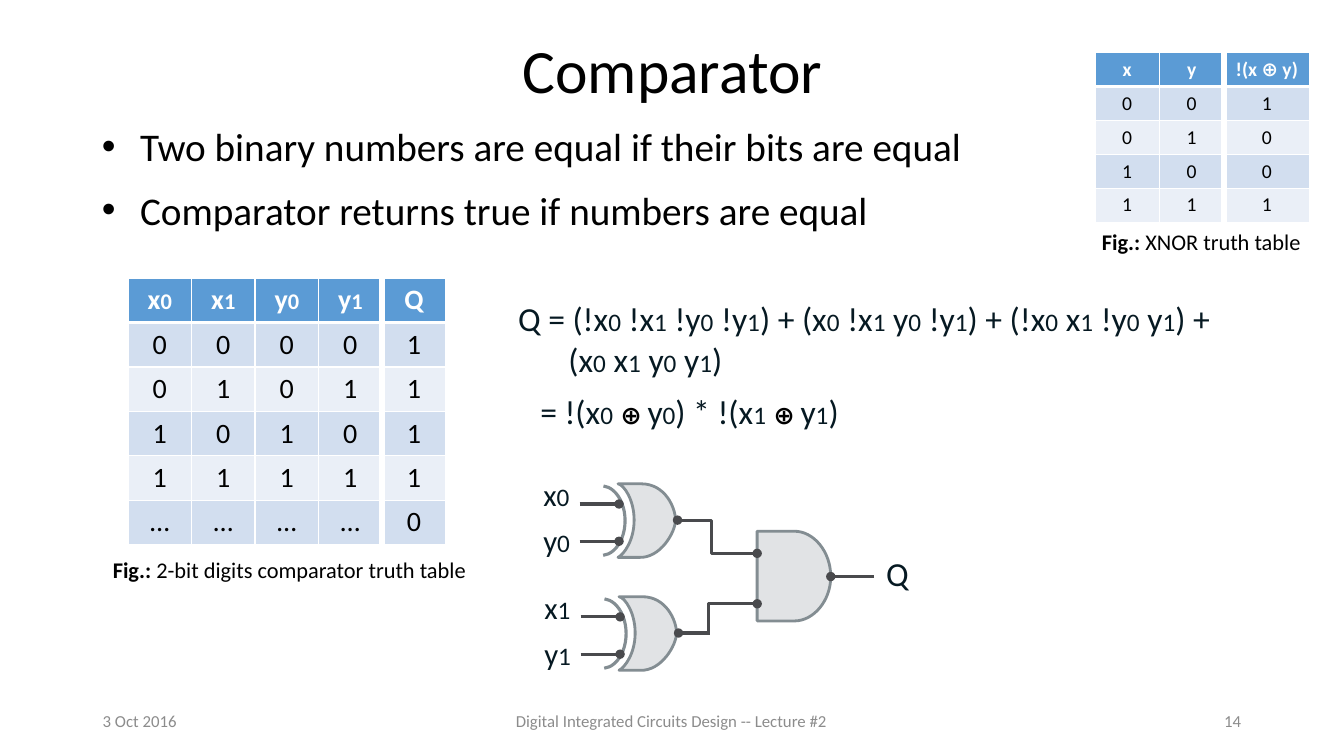
from dataclasses import dataclass
from itertools import groupby

from lxml import etree
from pptx import Presentation
from pptx.dml.color import RGBColor
from pptx.enum.shapes import MSO_CONNECTOR as Conn, MSO_SHAPE as Shape
from pptx.enum.text import MSO_ANCHOR as Anchor, MSO_AUTO_SIZE as Fit, PP_ALIGN as Align
from pptx.oxml.ns import qn
from pptx.util import Pt

PX = 9144


@dataclass(frozen=True)
class Theme:
    font: str = "Calibri"
    text: str = "000000"
    ink: str = "061922"
    muted: str = "8C8C8C"
    white: str = "FFFFFF"
    header: str = "5B9BD5"
    bands: tuple = ("D2DEEF", "EAEFF7")
    gate_fill: str = "E1E3E5"
    gate_line: str = "838D92"
    wire: str = "494A4D"
    title: int = 44
    body: int = 28
    formula: int = 24
    pin: int = 22
    index: int = 18
    caption: int = 16
    footer: int = 12


T = Theme()


def px(*values):
    return [v * PX for v in values]


def rgb(color):
    return RGBColor.from_string(color)


def add_run(p, text, size, color=T.text, bold=False):
    r = p.add_run()
    r.text = text
    r.font.name, r.font.size, r.font.bold = T.font, Pt(size), bold
    r.font.color.rgb = rgb(color)


def add_indexed(p, text, size, small, color=T.ink, bold=False, operator=(T.index, T.text)):
    def kind(pair):
        return "operator" if "⊕" in pair else "index" if pair[1].isdigit() else "name"

    for name, pairs in groupby(zip(" " + text, text), key=kind):
        part = "".join(char for _, char in pairs)
        if name == "operator":
            add_run(p, part, *operator, True)
        else:
            add_run(p, part, small if name == "index" else size, color, bold)


def indent(p, left, first):
    pPr = p._p.get_or_add_pPr()
    pPr.set("marL", str(left * PX))
    pPr.set("indent", str(first * PX))
    return pPr


def text_box(slide, box, wrap=True):
    tf = slide.shapes.add_textbox(*px(*box)).text_frame
    tf.word_wrap = wrap
    tf.auto_size = Fit.NONE if wrap else Fit.SHAPE_TO_FIT_TEXT
    return tf


def place(sp, box):
    sp.left, sp.top, sp.width, sp.height = px(*box)
    return sp.text_frame


def add_title(slide, box, text):
    tf = place(slide.shapes.title, box)
    tf.vertical_anchor = Anchor.MIDDLE
    p = tf.paragraphs[0]
    p.alignment, p.line_spacing = Align.CENTER, 0.9
    add_run(p, text, T.title)


def add_bullets(slide, box, lines):
    tf = place(slide.placeholders[1], box)
    tf.vertical_anchor = Anchor.TOP
    for i, line in enumerate(lines):
        p = tf.add_paragraph() if i else tf.paragraphs[0]
        pPr = indent(p, 38, -38)
        etree.SubElement(pPr, qn("a:buFont")).set("typeface", "Arial")
        etree.SubElement(pPr, qn("a:buChar")).set("char", "•")
        p.space_before = Pt(12 if i else 0)
        add_run(p, line, T.body)


def add_footer(slide, box, text, align):
    tf = text_box(slide, box)
    tf.vertical_anchor = Anchor.MIDDLE
    tf.paragraphs[0].alignment = align
    add_run(tf.paragraphs[0], text, T.footer, T.muted)


def add_caption(slide, box, text):
    p = text_box(slide, box, wrap=False).paragraphs[0]
    add_run(p, "Fig.: ", T.caption, bold=True)
    add_run(p, text, T.caption)


def add_formula(slide, box, lines):
    tf = text_box(slide, box)
    for i, (text, left, first) in enumerate(lines):
        p = tf.add_paragraph() if i else tf.paragraphs[0]
        indent(p, left, first)
        add_indexed(p, text, T.formula, T.index)


def set_borders(cell, widths):
    tcPr = cell._tc.get_or_add_tcPr()
    for side, width in zip("LRTB", widths):
        ln = etree.SubElement(tcPr, qn("a:ln" + side), w=str(Pt(width)))
        fill = etree.SubElement(ln, qn("a:solidFill"))
        etree.SubElement(fill, qn("a:srgbClr"), val=T.white)


def add_truth_table(slide, left, top, widths, row_height, rows, size, small):
    box = px(left, top, sum(widths), row_height * len(rows))
    table = slide.shapes.add_table(len(rows), len(widths), *box).table
    table.horz_banding = False
    last = len(widths) - 1
    for col, width in zip(table.columns, widths):
        col.width = width * PX
    for i, row in enumerate(rows):
        table.rows[i].height = row_height * PX
        for j, text in enumerate(row):
            cell = table.cell(i, j)
            set_borders(cell, (4.5 if j == last else 1, 4.5 if j == last - 1 else 1,
                               3 if i == 1 else 1, 3 if i == 0 else 1))
            cell.fill.solid()
            cell.fill.fore_color.rgb = rgb(T.bands[(i - 1) % 2] if i else T.header)
            p = cell.text_frame.paragraphs[0]
            p.alignment = Align.CENTER
            if i:
                add_run(p, text, size)
            else:
                add_indexed(p, text, size, small, T.white, True, (size, T.white))


def add_outline(slide, left, top, start, segments):
    points = [tuple(px(left + x, top + y)) for seg in segments for x, y in seg]
    builder = slide.shapes.build_freeform(*px(left + start[0], top + start[1]), scale=1.0)
    builder.add_line_segments(points, close=True)
    sp = builder.convert_to_shape()
    lines = iter(list(sp._element.iter(qn("a:lnTo"))))
    for seg in segments:
        line = next(lines)
        if len(seg) == 3:
            bezier = etree.Element(qn("a:cubicBezTo"))
            line.addprevious(bezier)
            for part in (line, next(lines), next(lines)):
                bezier.append(part[0])
                part.getparent().remove(part)
    sp.shadow.inherit = False
    sp.fill.solid()
    sp.fill.fore_color.rgb = rgb(T.gate_fill)
    sp.line.color.rgb, sp.line.width = rgb(T.gate_line), Pt(2)


def add_wire(slide, start, end, bend=None):
    kind = Conn.STRAIGHT if bend is None else Conn.ELBOW
    wire = slide.shapes.add_connector(kind, *px(*start, *end))
    wire.line.color.rgb, wire.line.width = rgb(T.wire), Pt(2.25)
    etree.SubElement(wire.line._get_or_add_ln(), qn("a:tailEnd"), type="oval")
    spPr = wire._element.spPr
    etree.SubElement(spPr, qn("a:effectLst"))
    if bend is not None:
        guides = spPr.find(qn("a:prstGeom")).get_or_add_avLst()
        etree.SubElement(guides, qn("a:gd"), name="adj1", fmla=f"val {bend}")


def add_pin(slide, box, text, size):
    add_indexed(text_box(slide, box, wrap=False).paragraphs[0], text, size, T.index)


def add_xnor_gate(slide, left, top, pins):
    for i, pin in enumerate(pins):
        add_pin(slide, (left, top + 46 * i, 47, 47), pin, T.pin)
    add_outline(slide, left + 84, top + 13, (23, 0), [
        [(0, 0)], [(6, 1), (16, 16), (16, 36)], [(16, 56), (6, 70), (0, 73)],
        [(21, 73)], [(42, 74), (57, 48), (57, 36)], [(57, 24), (47, 0), (23, 0)]])
    arc = slide.shapes.add_shape(Shape.ARC, *px(left + 44, top + 15, 47, 69))
    arc.shadow.inherit = False
    arc.adjustments[0], arc.adjustments[1] = 164.09, 52.21
    arc.fill.background()
    arc.line.color.rgb, arc.line.width = rgb(T.gate_line), Pt(2.25)
    for y in (top + 70, top + 33):
        add_wire(slide, (left + 46, y), (left + 85, y))
    output = (left + 174, top + 49)
    add_wire(slide, output, (left + 143, top + 49))
    return output


def add_circuit(slide, left, top):
    upper = add_xnor_gate(slide, left, top, ("x0", "y0"))
    lower = add_xnor_gate(slide, left + 1, top + 112, ("x1", "y1"))
    x, y = left + 222, top + 60
    add_outline(slide, x, y, (0, 0), [
        [(37, 0)], [(56, 0), (73, 20), (73, 45)], [(73, 69), (56, 89), (37, 89)], [(0, 89)]])
    add_wire(slide, upper, (x, y + 22), 5400)
    add_wire(slide, lower, (x, y + 72), -1900)
    add_wire(slide, (x + 116, y + 45), (x + 73, y + 45))
    add_pin(slide, (x + 118, y + 17, 43, 50), "Q", T.formula)


def main():
    prs = Presentation()
    prs.slide_width, prs.slide_height = px(1333, 750)
    slide = prs.slides.add_slide(prs.slide_layouts[1])
    add_title(slide, (92, 0, 1150, 145), "Comparator")
    add_bullets(slide, (91, 116, 937, 133), (
        "Two binary numbers are equal if their bits are equal",
        "Comparator returns true if numbers are equal"))
    add_footer(slide, (92, 695, 300, 40), "3 Oct 2016", Align.LEFT)
    add_footer(slide, (441, 695, 450, 40),
               "Digital Integrated Circuits Design -- Lecture #2", Align.CENTER)
    add_footer(slide, (941, 695, 300, 40), "14", Align.RIGHT)
    add_truth_table(slide, 127, 276, [63] * 5, 43, [
        ("x0", "x1", "y0", "y1", "Q"), "00001", "01011", "10101", "11111", "…………0"], 20, 16)
    add_formula(slide, (504, 291, 776, 91), (
        ("Q = (!x0 !x1 !y0 !y1) + (x0 !x1 y0 !y1) + (!x0 x1 !y0 y1) +", 0, 0),
        ("(x0 x1 y0 y1)", 25, 25)))
    add_formula(slide, (504, 383, 776, 57), (("= !(x0 ⊕ y0) * !(x1 ⊕ y1)", 22, 0),))
    add_truth_table(slide, 1086, 52, [64, 64, 85], 33, [
        ("x", "y", "!(x ⊕ y)"), "001", "010", "100", "111"], 14, 12)
    add_caption(slide, (1083, 221, 220, 37), "XNOR truth table")
    add_circuit(slide, 529, 467)
    add_caption(slide, (102, 547, 375, 37), "2-bit digits comparator truth table")
    prs.save("out.pptx")


if __name__ == "__main__":
    main()
